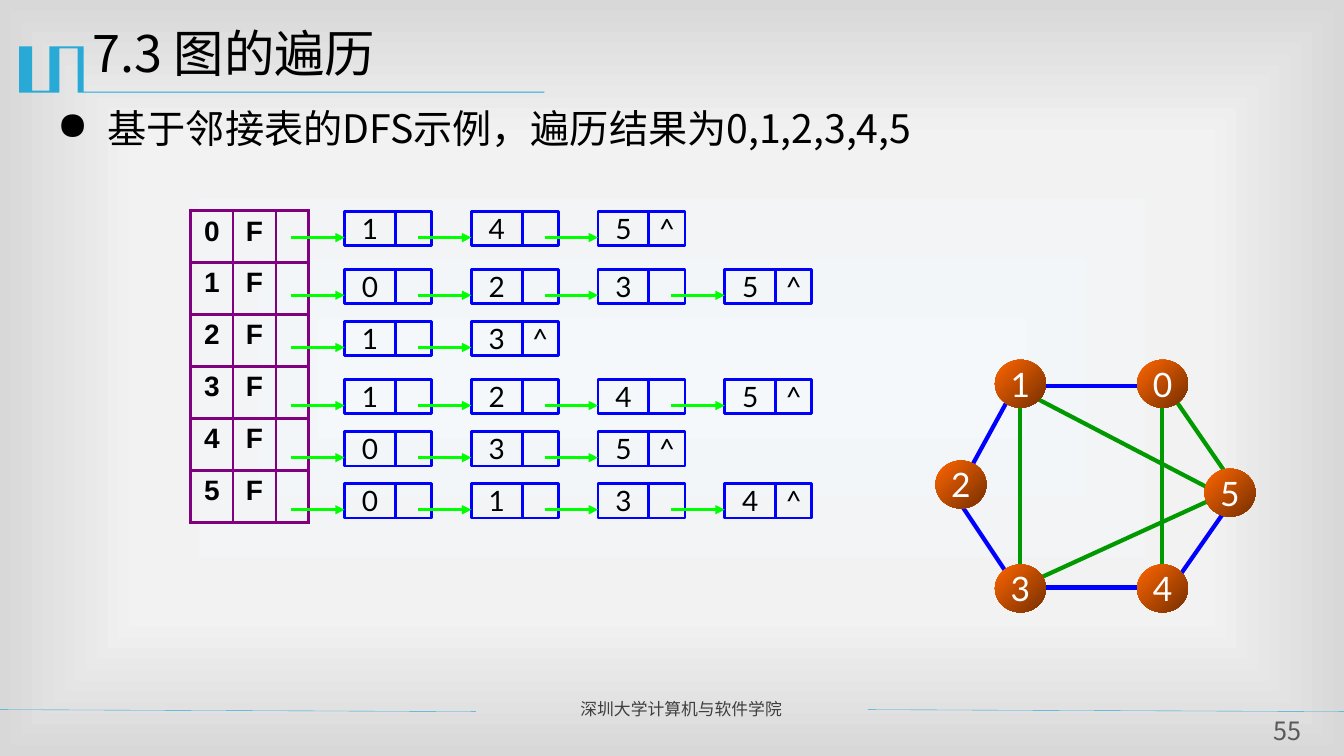
from itertools import accumulate, pairwise

from pptx import Presentation
from pptx.dml.color import RGBColor
from pptx.enum.shapes import MSO_CONNECTOR, MSO_SHAPE
from pptx.enum.text import MSO_ANCHOR, PP_ALIGN
from pptx.oxml import parse_xml
from pptx.oxml.ns import nsdecls, qn
from pptx.oxml.xmlchemy import OxmlElement
from pptx.util import Pt

COLORS = {
    "accent": "28A9D6", "text": "000000", "footer": "3F3F3F", "number": "595959",
    "table": "800080", "box": "0000FF", "arrow": "00FF00", "tree": "0000FF",
    "chord": "009900", "node_light": "FF6600", "node_dark": "762F00", "node_text": "FFFFFF",
    "back_center": "F4F8FB", "back_middle": "F2F2F2", "back_edge": "D8D8D8",
}
CJK, LATIN, TABLE_FONT = "Noto Sans CJK SC", "Lato", "Arial"

ADJACENCY = [[1, 4, 5], [0, 2, 3, 5], [1, 3], [1, 2, 4, 5], [0, 3, 5], [0, 1, 3, 4]]
LIST_TOPS = [151.2, 192.4, 229.7, 271.2, 308.4, 345.6]

# Graph places are relative to the graph box
NODES = {1: (42.5, 0), 3: (42.5, 146.2), 2: (0, 72), 5: (192.2, 77.8),
         4: (144, 146.2), 0: (144, 0)}
EDGES = [
    ("tree", 150.5, 18.7, 78.5, 18.7), ("chord", 162, 31, 162, 150.5),
    ("chord", 168.5, 24.5, 210.2, 85), ("tree", 54, 24.5, 24.5, 78.5),
    ("chord", 60.5, 157, 60.5, 31), ("chord", 204.5, 96.5, 66.2, 24.5),
    ("tree", 54, 157, 18, 103), ("tree", 156.2, 162.7, 66.2, 162.7),
    ("chord", 204.5, 96.5, 72, 157), ("tree", 210.2, 103, 168.5, 162.7),
]
BANNER = [(45.3, 0), (46.1, 0), (46.1, 32.4), (375.1, 32.4), (375.1, 33.1), (41.7, 33.1),
          (41.7, 1.5), (28.8, 1.5), (28.8, 33.1), (0, 33.1), (0, 0), (9.3, 0),
          (9.3, 31.7), (21.6, 31.7), (21.6, 0)]


def color(name):
    return RGBColor.from_string(COLORS[name])


def add_run(para, text, size, font, shade, bold=False):
    span = para.add_run()
    span.text = text
    span.font.size, span.font.name, span.font.bold = Pt(size), font, bold
    span.font.color.rgb = color(shade)
    if font == CJK:
        east_asian = OxmlElement("a:ea")
        east_asian.set("typeface", font)
        span.font._element.append(east_asian)


def set_margins(frame, side, end):
    frame.margin_left = frame.margin_right = Pt(side)
    frame.margin_top = frame.margin_bottom = Pt(end)


def add_text(page, box, text, size, shade="text", align=PP_ALIGN.LEFT, margins=(7.2, 3.6)):
    frame = page.shapes.add_textbox(*map(Pt, box)).text_frame
    frame.word_wrap = True
    set_margins(frame, *margins)
    para = frame.paragraphs[0]
    para.alignment, para.line_spacing = align, 0.9
    add_run(para, text, size, CJK, shade)
    return para


def add_line(page, start, end, shade, width, arrow=False):
    line = page.shapes.add_connector(MSO_CONNECTOR.STRAIGHT, *map(Pt, (*start, *end)))
    line.line.color.rgb, line.line.width = color(shade), Pt(width)
    if arrow:
        head = OxmlElement("a:tailEnd")
        head.set("type", "triangle")
        line.line._get_or_add_ln().append(head)
    line._element.spPr.append(OxmlElement("a:effectLst"))


def paint_background(page):
    page.background.fill.gradient()
    plain = page._element.find(".//" + qn("a:gradFill"))
    stops = "".join(
        f'<a:gs pos="{place}"><a:srgbClr val="{COLORS[name]}"/></a:gs>'
        for place, name in ((0, "back_center"), (63000, "back_middle"), (100000, "back_edge")))
    plain.getparent().replace(plain, parse_xml(
        f'<a:gradFill {nsdecls("a")} rotWithShape="1"><a:gsLst>{stops}</a:gsLst>'
        '<a:path path="rect"><a:fillToRect l="50000" t="50000" r="50000" b="50000"/></a:path>'
        '</a:gradFill>'))


def add_banner(page, left, top):
    points = [(Pt(left + x), Pt(top + y)) for x, y in BANNER]
    builder = page.shapes.build_freeform(*points[0], scale=1.0)
    builder.add_line_segments(points[1:], close=True)
    banner = builder.convert_to_shape()
    banner.shadow.inherit = False
    banner.fill.solid()
    banner.fill.fore_color.rgb = color("accent")
    banner.line.fill.background()


def add_footer(page, top):
    for left in (0, 620):
        add_line(page, (left, top + 9.4), (left + 340, top + 10.8), "accent", 0.25)
    add_text(page, (407.5, top, 205.2, 21.6), "深圳大学计算机与软件学院", 12, "footer",
             PP_ALIGN.JUSTIFY)
    add_text(page, (898.6, top + 15.8, 42.5, 22.3), "55", 18, "number", PP_ALIGN.CENTER, (0, 0))


def add_heading(page):
    add_text(page, (59, 17.3, 864, 62.6), "7.3 图的遍历", 36)
    para = add_text(page, (33.8, 74.9, 873.4, 405.4),
                    "基于邻接表的DFS示例，遍历结果为0,1,2,3,4,5", 28)
    settings = para._p.get_or_add_pPr()
    settings.set("marL", str(Pt(36)))
    settings.set("indent", str(Pt(-36)))
    bullet = OxmlElement("a:buChar")
    bullet.set("char", "●")
    settings.append(bullet)


def add_borders(cell):
    settings = cell._tc.get_or_add_tcPr()
    for place, side in enumerate(("lnL", "lnR", "lnT", "lnB")):
        settings.insert(place, parse_xml(
            f'<a:{side} {nsdecls("a")} w="{Pt(2.25)}"><a:solidFill>'
            f'<a:srgbClr val="{COLORS["table"]}"/></a:solidFill></a:{side}>'))


def add_vertex_table(page, left, top, width, height):
    count = len(ADJACENCY)
    table = page.shapes.add_table(count, 3, *map(Pt, (left, top, width, height))).table
    table.first_row = table.horz_banding = False
    for column, size in zip(table.columns, (30.4, 30.6, 23.2)):
        column.width = Pt(size)
    for vertex, row in enumerate(table.rows):
        row.height = Pt(height / count)
        for cell, text in zip(row.cells, (str(vertex), "F", "")):
            cell.fill.background()
            add_borders(cell)
            if text:
                para = cell.text_frame.paragraphs[0]
                para.alignment = PP_ALIGN.CENTER
                add_run(para, text, 20, TABLE_FONT, "text", bold=True)


def add_list_box(page, box, text):
    shape = page.shapes.add_shape(MSO_SHAPE.RECTANGLE, *map(Pt, box))
    shape.shadow.inherit = False
    shape.fill.background()
    shape.line.color.rgb, shape.line.width = color("box"), Pt(2)
    frame = shape.text_frame
    frame.vertical_anchor = MSO_ANCHOR.TOP
    set_margins(frame, 7.2, 0)
    if text:
        frame.paragraphs[0].alignment = PP_ALIGN.CENTER
        add_run(frame.paragraphs[0], text, 20, LATIN, "text")


def add_linked_list(page, left, top, vertices):
    value_width, link_width, height, step = 36.3, 25.9, 24.5, 90.5
    for place, vertex in enumerate(vertices):
        start = left + place * step
        end_mark = "^" if place == len(vertices) - 1 else ""
        add_list_box(page, (start, top, value_width, height), str(vertex))
        add_list_box(page, (start + value_width, top, link_width, height), end_mark)
    for place in range(len(vertices)):
        end = left + place * step
        add_line(page, (end - 38.2, top + 18.5), (end, top + 18.5), "arrow", 2.25, arrow=True)


def add_graph(page, left, top):
    for shade, x1, y1, x2, y2 in EDGES:
        add_line(page, (left + x1, top + y1), (left + x2, top + y2), shade, 3)
    for vertex, (x, y) in NODES.items():
        node = page.shapes.add_shape(MSO_SHAPE.OVAL, *map(Pt, (left + x, top + y, 36.4, 34.2)))
        node.shadow.inherit = False
        node.line.fill.background()
        node.fill.gradient()
        node.fill.gradient_angle = 315
        for stop, name in zip(node.fill.gradient_stops, ("node_light", "node_dark")):
            stop.color.rgb = color(name)
        frame = node.text_frame
        frame.word_wrap = False
        frame.vertical_anchor = MSO_ANCHOR.MIDDLE
        set_margins(frame, 0, 3.6)
        frame.paragraphs[0].alignment = PP_ALIGN.CENTER
        add_run(frame.paragraphs[0], str(vertex), 24, LATIN, "node_text")


def main():
    deck = Presentation()
    deck.slide_width, deck.slide_height = Pt(960), Pt(540)
    page = deck.slides.add_slide(deck.slide_layouts[6])
    # Frame of the page
    paint_background(page)
    add_banner(page, 13.7, 33.1)
    add_footer(page, 497.5)
    add_heading(page)
    # Adjacency lists
    add_vertex_table(page, 136.1, 150.5, 84.2, 222.5)
    for top, vertices in zip(LIST_TOPS, ADJACENCY):
        add_linked_list(page, 246.2, top, vertices)
    # Graph
    add_graph(page, 668.2, 257)
    deck.save("out.pptx")


if __name__ == "__main__":
    main()
